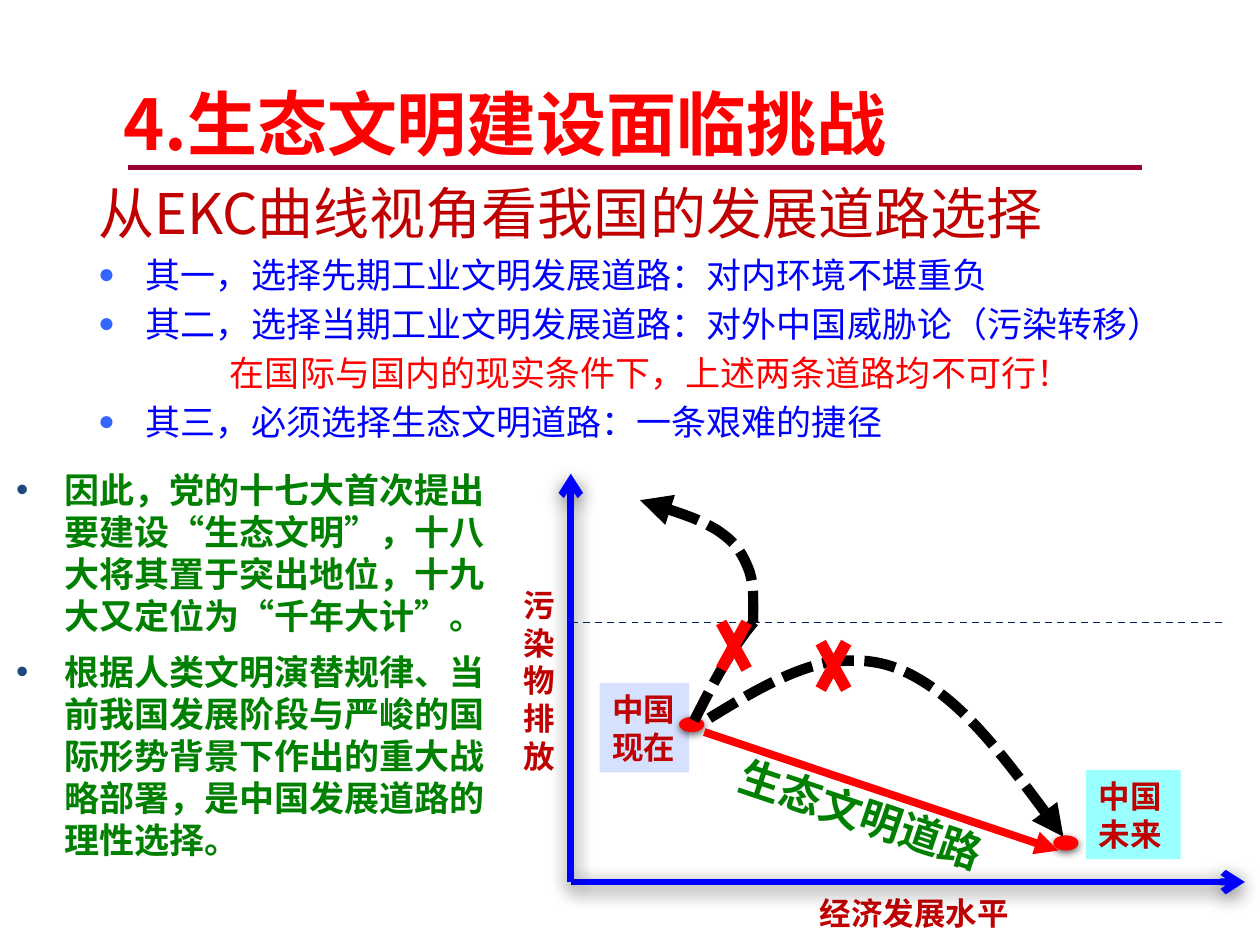
from dataclasses import dataclass
from typing import Optional

from lxml import etree
from pptx import Presentation
from pptx.dml.color import RGBColor
from pptx.enum.dml import MSO_LINE
from pptx.enum.shapes import MSO_CONNECTOR, MSO_SHAPE
from pptx.enum.text import PP_ALIGN
from pptx.oxml.ns import qn
from pptx.util import Inches, Pt

RECT, OVAL, CROSS = MSO_SHAPE.RECTANGLE, MSO_SHAPE.OVAL, MSO_SHAPE.MATH_MULTIPLY
DASH, SHORT_DASH = MSO_LINE.DASH, MSO_LINE.SQUARE_DOT
STRAIGHT = MSO_CONNECTOR.STRAIGHT
CENTER = PP_ALIGN.CENTER

RED = RGBColor(0xFF, 0x00, 0x00)
DARK_RED = RGBColor(0xC0, 0x00, 0x00)
MAROON = RGBColor(0x99, 0x00, 0x33)
BLUE = RGBColor(0x00, 0x00, 0xFF)
BULLET_BLUE = RGBColor(0x33, 0x66, 0xFF)
SLATE = RGBColor(0x1F, 0x49, 0x7D)
NAVY = RGBColor(0x00, 0x20, 0x60)
GREEN = RGBColor(0x00, 0x80, 0x00)
CYAN = RGBColor(0x99, 0xFF, 0xFF)
LAVENDER = RGBColor(0xD6, 0xE0, 0xFF)
BLACK = RGBColor(0x00, 0x00, 0x00)
WHITE = RGBColor(0xFF, 0xFF, 0xFF)

CJK, LATIN = "Noto Sans CJK SC", "Arial"
HANGING = Inches(0.38)


@dataclass
class Bullet:
    char: str
    color: RGBColor
    percent: int = 100


@dataclass
class Para:
    text: str
    size: int
    color: RGBColor
    bold: bool = True
    font: str = CJK
    before: float = 0
    bullet: Optional[Bullet] = None
    hanging: bool = False
    centered: bool = False


@dataclass
class Shadow:
    opacity: int
    blur: float
    distance: float


AXIS_SHADOW = Shadow(56, 11, 3)
DOT_SHADOW = Shadow(63, 4.5, 1.5)


def sub(parent, tag: str, **attributes):
    return etree.SubElement(parent, qn(tag), attributes)


def set_effects(shape, shadow: Optional[Shadow]) -> None:
    """Give the shape a downward shadow, or an empty effect list for none."""
    effects = sub(shape._element.spPr, "a:effectLst")
    if shadow:
        outer = sub(effects, "a:outerShdw", blurRad=str(Pt(shadow.blur)),
                    dist=str(Pt(shadow.distance)), dir="5400000",
                    algn="ctr", rotWithShape="0")
        color = sub(outer, "a:srgbClr", val="000000")
        sub(color, "a:alpha", val=str(shadow.opacity * 1000))


def style_line(line, color: RGBColor, width: float, dash=None, head: str = "") -> None:
    line.color.rgb = color
    line.width = Pt(width)
    if dash is not None:
        line.dash_style = dash
    if head:
        sub(line._get_or_add_ln(), "a:tailEnd", type=head)


def write(frame, paras: list[Para]) -> None:
    frame.text = "\n".join(para.text for para in paras)
    for paragraph, para in zip(frame.paragraphs, paras):
        properties = paragraph._p.get_or_add_pPr()
        if para.hanging:
            properties.set("marL", str(HANGING))
            properties.set("indent", str(-HANGING))
        if para.bullet:
            color = sub(properties, "a:buClr")
            sub(color, "a:srgbClr", val=str(para.bullet.color))
            sub(properties, "a:buSzPct", val=str(para.bullet.percent * 1000))
            sub(properties, "a:buFont", typeface=LATIN)
            sub(properties, "a:buChar", char=para.bullet.char)
        paragraph.alignment = CENTER if para.centered else PP_ALIGN.LEFT
        if para.before:
            paragraph.space_before = Pt(para.before)
        for run in paragraph.runs:
            run.font.size = Pt(para.size)
            run.font.bold = para.bold
            run.font.color.rgb = para.color
            run.font.name = para.font
            sub(run._r.get_or_add_rPr(), "a:ea", typeface=CJK)


def add_text(slide, left, top, width, height, paras: list[Para],
             rotation: float = 0, wrap: bool = True) -> None:
    box = slide.shapes.add_textbox(*map(Inches, (left, top, width, height)))
    box.rotation = rotation
    box.text_frame.word_wrap = wrap
    write(box.text_frame, paras)


def add_block(slide, kind, left, top, width, height, fill: RGBColor,
              label: Optional[Para] = None, shadow: Optional[Shadow] = None) -> None:
    block = slide.shapes.add_shape(kind, *map(Inches, (left, top, width, height)))
    block.fill.solid()
    block.fill.fore_color.rgb = fill
    block.line.fill.background()
    set_effects(block, shadow)
    if label:
        block.text_frame.word_wrap = True
        write(block.text_frame, [label])


def add_line(slide, start, end, color: RGBColor, width: float, dash=None,
             head: str = "", shadow: Optional[Shadow] = None) -> None:
    line = slide.shapes.add_connector(STRAIGHT, *map(Inches, (*start, *end)))
    style_line(line.line, color, width, dash, head)
    set_effects(line, shadow)


def add_curve(slide, points, head: str = "") -> None:
    """Draw a dashed Bézier curve: a start, then three points per segment."""
    start, *rest = [(Inches(x), Inches(y)) for x, y in points]
    builder = slide.shapes.build_freeform(*start)
    builder.add_line_segments(rest, close=False)
    curve = builder.convert_to_shape()
    steps = list(curve._element.iter(qn("a:lnTo")))
    outline = steps[0].getparent()
    for i in range(0, len(steps), 3):
        bezier = sub(outline, "a:cubicBezTo")
        for step in steps[i:i + 3]:
            bezier.append(step[0])
            outline.remove(step)
    curve.fill.background()
    style_line(curve.line, BLACK, 6, SHORT_DASH, head)
    set_effects(curve, None)


def add_arguments(slide) -> None:
    def option(text: str) -> Para:
        return Para(text, 20, BLUE, False, before=4, hanging=True,
                    bullet=Bullet("●", BULLET_BLUE, 80))

    def reason(text: str, before: float = 0) -> Para:
        return Para(text, 20, GREEN, before=before, hanging=True, bullet=Bullet("•", SLATE))

    add_line(slide, (1.02, 1.33), (9.06, 1.33), MAROON, 3)
    add_text(slide, 0.68, 1.37, 8.97, 4.95, [
        Para("从EKC曲线视角看我国的发展道路选择", 32, DARK_RED, False, hanging=True),
        option("其一，选择先期工业文明发展道路：对内环境不堪重负"),
        option("其二，选择当期工业文明发展道路：对外中国威胁论（污染转移）"),
        Para("在国际与国内的现实条件下，上述两条道路均不可行！", 20, RED, False,
             before=4, hanging=True, centered=True),
        option("其三，必须选择生态文明道路：一条艰难的捷径"),
    ])
    add_text(slide, 0.03, 3.67, 4.05, 3.54, [
        reason("因此，党的十七大首次提出要建设“生态文明”，十八大将其置于突出地位，"
               "十九大又定位为“千年大计”。"),
        reason("根据人类文明演替规律、当前我国发展阶段与严峻的国际形势背景下作出的"
               "重大战略部署，是中国发展道路的理性选择。", before=8),
    ])


def add_diagram(slide) -> None:
    def label(text: str) -> Para:
        return Para(text, 18, DARK_RED, font=LATIN)

    origin = (4.53, 7)
    add_text(slide, 6.41, 7.05, 1.73, 0.4, [label("经济发展水平")])
    for axis_end in ((9.88, 7), (4.53, 3.76)):
        add_line(slide, origin, axis_end, BLUE, 4, head="arrow", shadow=AXIS_SHADOW)
    add_text(slide, 4.06, 4.6, 0.63, 1.61, [label("污染物排放")])
    add_block(slide, RECT, 8.62, 6.11, 0.75, 0.71, CYAN, label("中国未来"))
    add_block(slide, RECT, 4.76, 5.42, 0.71, 0.71, LAVENDER, label("中国现在"))
    for left, top in ((5.39, 5.69), (8.36, 6.63)):
        add_block(slide, OVAL, left, top, 0.2, 0.12, RED, shadow=DOT_SHADOW)
    add_line(slide, (4.53, 4.94), (9.72, 4.94), NAVY, 1, DASH)
    add_line(slide, (5.59, 5.81), (8.4, 6.75), RED, 4.5, head="triangle")
    add_text(slide, 5.74, 6.21, 2.21, 0.5, [Para("生态文明道路", 24, GREEN)], 18.6, False)

    add_curve(slide, [(5.98, 4.94), (5.98, 4.78), (5.99, 4.62), (5.93, 4.49),
                      (5.88, 4.37), (5.82, 4.29), (5.68, 4.2),
                      (5.54, 4.12), (5.31, 4.04), (5.08, 3.97)], "triangle")
    add_curve(slide, [(5.51, 5.72), (5.7, 5.34), (5.9, 4.97), (6.16, 4.76),
                      (6.43, 4.55), (6.67, 4.45), (7.09, 4.45),
                      (7.51, 4.46), (8.11, 4.63), (8.7, 4.79)])
    add_block(slide, RECT, 6.02, 3.93, 3.13, 1, WHITE)
    add_block(slide, CROSS, 5.63, 4.77, 0.39, 0.71, RED)
    add_curve(slide, [(5.63, 5.7), (5.97, 5.49), (6.32, 5.29), (6.62, 5.25),
                      (6.93, 5.22), (7.15, 5.27), (7.46, 5.5),
                      (7.76, 5.73), (8.1, 6.18), (8.44, 6.64)], "triangle")
    add_block(slide, CROSS, 6.42, 4.93, 0.39, 0.71, RED)


def main() -> None:
    deck = Presentation()
    deck.slide_width, deck.slide_height = Inches(10), Inches(7.5)
    slide = deck.slides.add_slide(deck.slide_layouts[6])
    add_arguments(slide)
    add_diagram(slide)
    add_text(slide, 0.88, 0.59, 7.07, 0.77, [Para("4.生态文明建设面临挑战", 40, RED)])
    deck.save("out.pptx")


if __name__ == "__main__":
    main()
